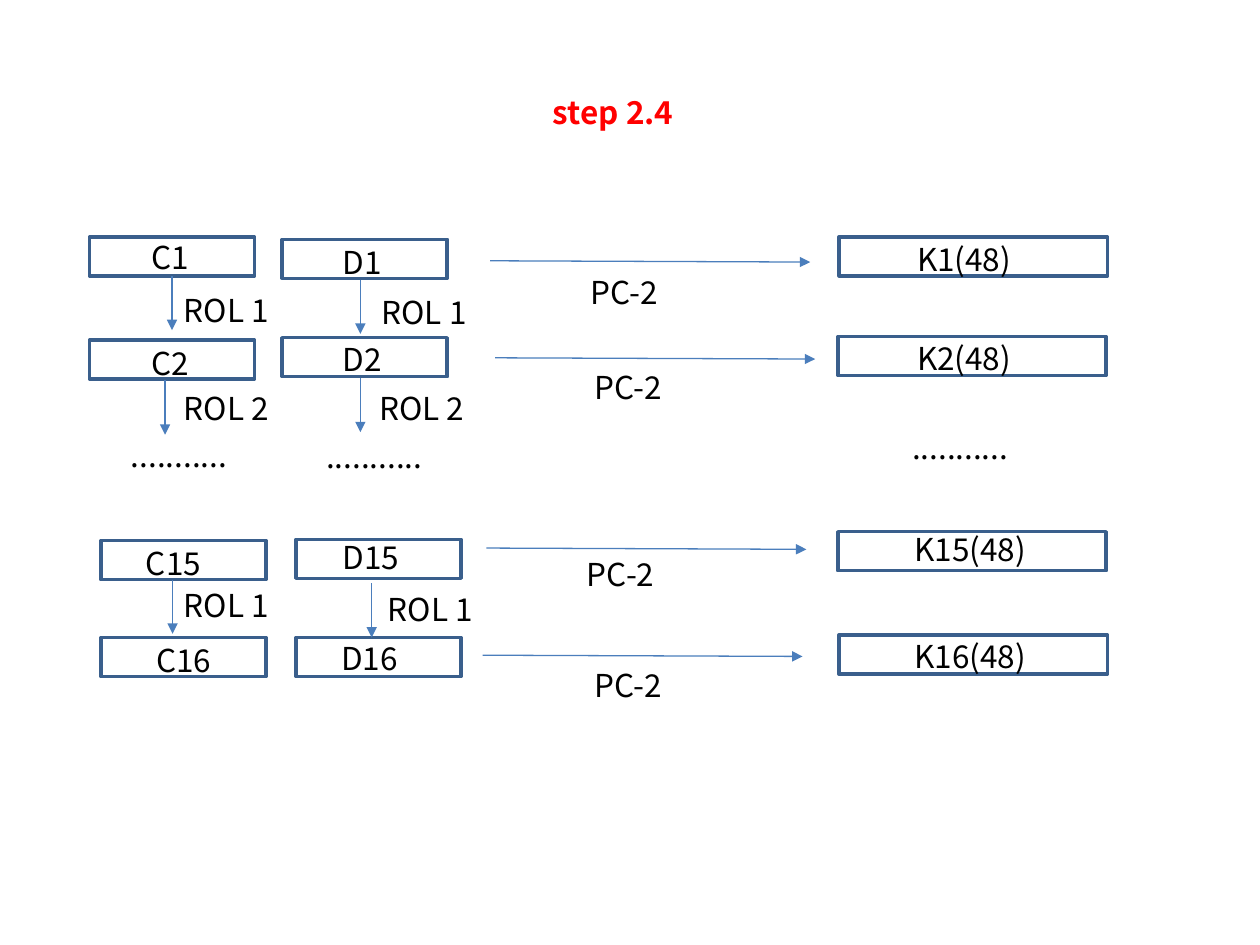
from lxml.etree import SubElement
from pptx import Presentation
from pptx.dml.color import RGBColor
from pptx.enum.shapes import MSO_CONNECTOR as Connector, MSO_SHAPE as Shape
from pptx.enum.text import MSO_AUTO_SIZE as AutoSize
from pptx.oxml.ns import qn
from pptx.util import Inches, Pt

FONT = "Noto Sans CJK KR"
BLACK, RED, BORDER, ARROW = "000000", "FF0000", "3A5F8C", "4B7EBC"
BOX_HEIGHT, TEXT_HEIGHT = 0.31, 0.4
HALF_KEY, FULL_KEY = (1.31, 0.79), (2.13, 1.5)
DROP, REACH, TILT = 0.43, 2.54, 0.01

TITLE = ("step 2.4", 4.29, 0.69)
HALF_KEYS = [
    ("C1", (0.71, 1.88), (1.1, 1.84)),
    ("D1", (2.24, 1.9), (2.62, 1.88)),
    ("C2", (0.71, 2.7), (1.1, 2.68)),
    ("D2", (2.24, 2.68), (2.62, 2.65)),
    ("C15", (0.8, 4.29), (1.06, 4.27)),
    ("D15", (2.35, 4.28), (2.62, 4.22)),
    ("C16", (0.8, 5.06), (1.14, 5.04)),
    ("D16", (2.35, 5.06), (2.61, 5.02)),
]
ROUND_KEYS = [
    ("K1(48)", (6.66, 1.88), (7.18, 1.86)),
    ("K2(48)", (6.65, 2.67), (7.18, 2.64)),
    ("K15(48)", (6.65, 4.22), (7.16, 4.16)),
    ("K16(48)", (6.66, 5.04), (7.16, 5.01)),
]
ROTATIONS = [
    ("ROL 1", (1.37, 2.19), (1.36, 2.26), "C1"),
    ("ROL 1", (2.86, 2.22), (2.93, 2.28), None),
    ("ROL 2", (1.31, 3.02), (1.36, 3.04), None),
    ("ROL 2", (2.86, 3.0), (2.91, 3.04), None),
    ("ROL 1", (1.37, 4.6), (1.36, 4.6), None),
    ("ROL 1", (2.95, 4.63), (2.98, 4.63), None),
]
PERMUTATIONS = [
    ((3.89, 2.07), (4.59, 2.12)),
    ((3.93, 2.84), (4.62, 2.87)),
    ((3.86, 4.35), (4.56, 4.36)),
    ((3.83, 5.2), (4.62, 5.24)),
]
ELLIPSES = [(0.94, 3.41), (2.49, 3.42), (7.14, 3.35)]


def color(value):
    return RGBColor.from_string(value)


def add_text(page, text, left, top, width, ink=BLACK, bold=False):
    box = page.shapes.add_textbox(
        Inches(left), Inches(top), Inches(width), Inches(TEXT_HEIGHT))
    frame = box.text_frame
    frame.word_wrap = True
    frame.auto_size = AutoSize.SHAPE_TO_FIT_TEXT
    span = frame.paragraphs[0].add_run()
    span.text = text
    span.font.size = Pt(18)
    span.font.bold = bold
    span.font.color.rgb = color(ink)
    span.font.name = FONT
    properties = span.font._element
    for tag in ("a:ea", "a:cs"):
        SubElement(properties, qn(tag), typeface=FONT)


def add_key(page, text, corner, text_corner, widths):
    box_width, text_width = widths
    box = page.shapes.add_shape(
        Shape.RECTANGLE, *map(Inches, (*corner, box_width, BOX_HEIGHT)))
    box.shadow.inherit = False
    box.fill.background()
    box.line.color.rgb = color(BORDER)
    box.line.width = Pt(2)
    add_text(page, text, *text_corner, text_width)
    return box


def add_arrow(page, start, across, down, source=None):
    x, y = start
    arrow = page.shapes.add_connector(
        Connector.STRAIGHT, *map(Inches, (x, y, x + across, y + down)))
    if source is not None:
        arrow.begin_connect(source, 2)
        arrow.end_x = arrow.begin_x
    arrow.line.color.rgb = color(ARROW)
    arrow.line.width = Pt(0.75)
    SubElement(arrow.line._get_or_add_ln(), qn("a:tailEnd"), type="triangle")
    SubElement(arrow._element.spPr, qn("a:effectLst"))


def main():
    deck = Presentation()
    deck.slide_width, deck.slide_height = Inches(10), Inches(7.5)
    page = deck.slides.add_slide(deck.slide_layouts[6])

    add_text(page, *TITLE, 2.51, RED, True)
    boxes = {}
    for keys, widths in ((HALF_KEYS, HALF_KEY), (ROUND_KEYS, FULL_KEY)):
        for text, corner, text_corner in keys:
            boxes[text] = add_key(page, text, corner, text_corner, widths)
    for text, start, text_corner, source in ROTATIONS:
        add_arrow(page, start, 0, DROP, boxes.get(source))
        add_text(page, text, *text_corner, 1.82)
    for start, text_corner in PERMUTATIONS:
        add_arrow(page, start, REACH, TILT)
        add_text(page, "PC-2", *text_corner, 1.62)
    for corner in ELLIPSES:
        add_text(page, "...........", *corner, 1.02)

    deck.save("out.pptx")


if __name__ == "__main__":
    main()
